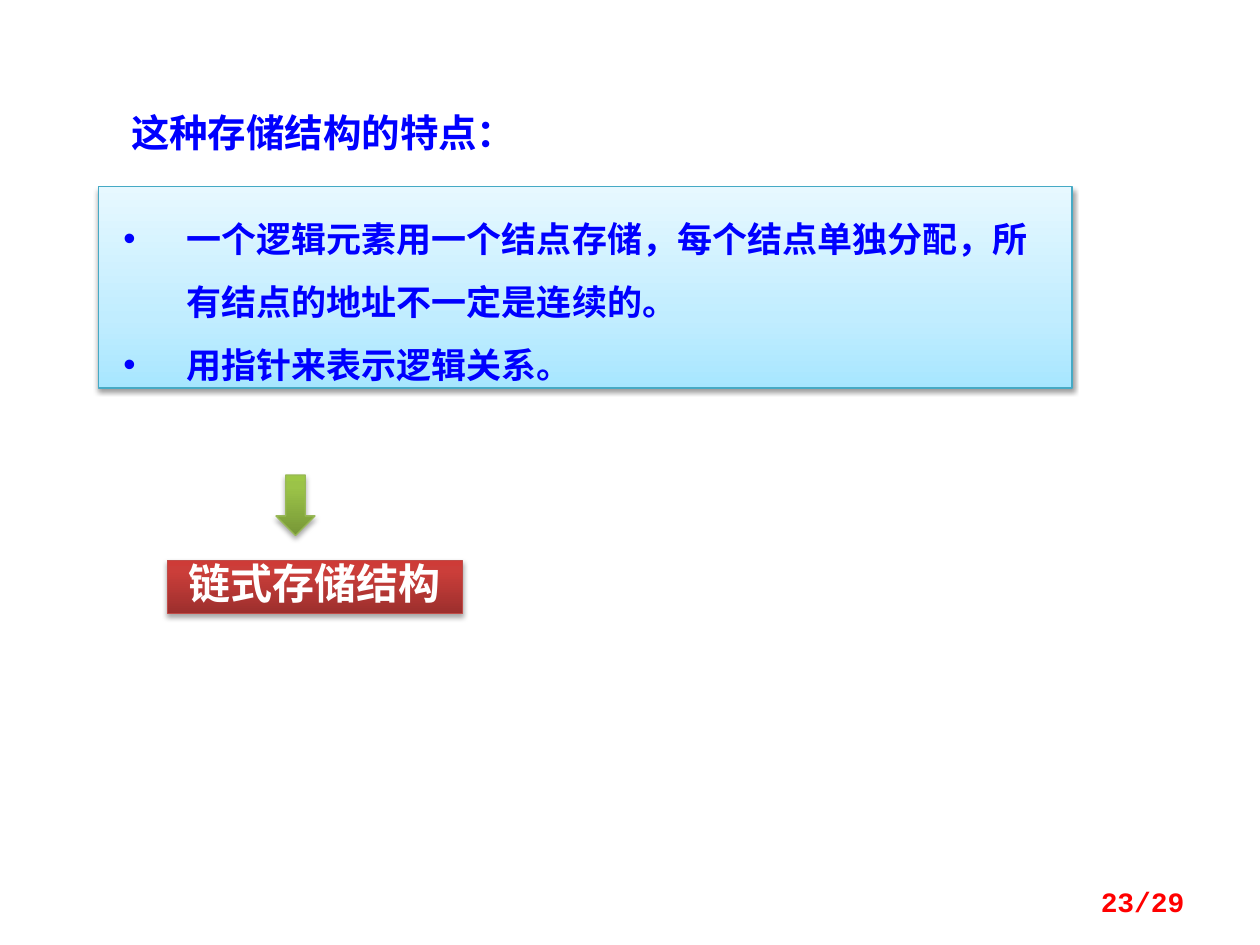
from lxml import etree
from pptx import Presentation
from pptx.dml.color import RGBColor
from pptx.enum.shapes import MSO_SHAPE
from pptx.enum.text import MSO_ANCHOR, MSO_AUTO_SIZE, PP_ALIGN
from pptx.oxml.ns import qn
from pptx.util import Inches, Pt

RECT, DOWN_ARROW = MSO_SHAPE.RECTANGLE, MSO_SHAPE.DOWN_ARROW
LEFT, CENTER, RIGHT = PP_ALIGN.LEFT, PP_ALIGN.CENTER, PP_ALIGN.RIGHT
TOP, MIDDLE = MSO_ANCHOR.TOP, MSO_ANCHOR.MIDDLE
NO_FIT = MSO_AUTO_SIZE.NONE

THEME = {
    "latin": "Times New Roman", "cjk": "Noto Sans CJK SC", "mono": "Courier New",
    "blue": "0000FF", "white": "FFFFFF", "red": "FF0000",
    "heading": 22, "body": 20, "label": 24, "page": 16,
    # gradient stops run from bottom to top
    "sky": {"stops": [(0, "A7E6FF"), (35, "C1EDFF"), (100, "E7F8FF")],
            "line": "46AAC5", "shadow": (38, 1.6)},
    "brick": {"stops": [(0, "9C2F2D"), (80, "CB3E3A"), (100, "CE3B37")],
              "line": "BF4C48", "shadow": (35, 1.8)},
    "leaf": {"stops": [(0, "779737"), (80, "9BC348"), (100, "9DC746")],
             "line": "98B955", "shadow": (35, 1.8)},
}


def add_panel(shapes, kind, box, look):
    """Add a shape with a vertical gradient, thin outline and soft shadow."""
    sp = shapes.add_shape(kind, *map(Inches, box))
    sp.fill.gradient()
    sp.fill.gradient_angle = 90
    stops = sp._element.spPr.find(".//" + qn("a:gsLst"))
    for old in list(stops):
        stops.remove(old)
    for pos, color in look["stops"]:
        gs = etree.SubElement(stops, qn("a:gs"), pos=str(pos * 1000))
        etree.SubElement(gs, qn("a:srgbClr"), val=color)
    sp.line.color.rgb = RGBColor.from_string(look["line"])
    sp.line.width = Pt(0.75)
    sp.shadow.inherit = False
    alpha, dist = look["shadow"]
    effects = sp._element.spPr.find(qn("a:effectLst"))
    shadow = etree.SubElement(effects, qn("a:outerShdw"), blurRad=str(Pt(3.1)),
                              dist=str(Pt(dist)), dir="5400000", rotWithShape="0")
    black = etree.SubElement(shadow, qn("a:srgbClr"), val="000000")
    etree.SubElement(black, qn("a:alpha"), val=str(alpha * 1000))
    return sp


def write(sp, lines, font, size, color, margins, para, anchor=TOP, bullet=False):
    """Fill a shape with bold paragraphs of one style."""
    tf = sp.text_frame
    tf.word_wrap, tf.auto_size, tf.vertical_anchor = True, NO_FIT, anchor
    for side, gap in zip(("left", "top", "right", "bottom"), margins):
        setattr(tf, "margin_" + side, Inches(gap))
    for i, line in enumerate(lines):
        p = tf.add_paragraph() if i else tf.paragraphs[0]
        for name, value in para.items():
            setattr(p, name, value)
        r = p.add_run()
        r.text = line
        r.font.name, r.font.size, r.font.bold = font, Pt(size), True
        r.font.color.rgb = RGBColor.from_string(color)
        etree.SubElement(r._r.get_or_add_rPr(), qn("a:ea"), typeface=THEME["cjk"])
        if bullet:
            pPr = p._p.get_or_add_pPr()
            pPr.set("marL", str(Inches(0.5)))
            pPr.set("indent", str(-Inches(0.5)))
            etree.SubElement(pPr, qn("a:buFont"), typeface="Arial")
            etree.SubElement(pPr, qn("a:buChar"), char="•")


prs = Presentation()
prs.slide_width, prs.slide_height = Inches(10), Inches(7.5)
s = prs.slides.add_slide(prs.slide_layouts[5])

# Heading
title = s.shapes.title
title.left, title.top, title.width, title.height = map(Inches, (0.94, 0.86, 4.22, 0.38))
write(title, ["这种存储结构的特点："], THEME["latin"], THEME["heading"], THEME["blue"],
      (0.1, 0.08, 0.1, 0),
      {"alignment": LEFT, "line_spacing": 0.8, "space_before": Pt(11)})

# Features
features = add_panel(s.shapes, RECT, (0.78, 1.48, 7.73, 1.6), THEME["sky"])
write(features, ["一个逻辑元素用一个结点存储，每个结点单独分配，所有结点的地址不一定是连续的。",
                 "用指针来表示逻辑关系。"],
      THEME["latin"], THEME["body"], THEME["blue"], (0.2, 0.08, 0.24, 0),
      {"alignment": LEFT, "line_spacing": 1.5}, bullet=True)

# Conclusion: label with the arrow leading to it
group = s.shapes.add_group_shape()
label = add_panel(group.shapes, RECT, (1.33, 4.45, 2.34, 0.42), THEME["brick"])
write(label, ["链式存储结构"], THEME["cjk"], THEME["label"], THEME["white"],
      (0.1, 0.05, 0.1, 0.05),
      {"alignment": CENTER, "line_spacing": 0.8, "space_before": Pt(12)})
add_panel(group.shapes, DOWN_ARROW, (2.19, 3.77, 0.31, 0.48), THEME["leaf"])

# Page number
page = s.shapes.add_textbox(*map(Inches, (7.17, 6.95, 2.33, 0.4)))
write(page, ["23/29"], THEME["mono"], THEME["page"], THEME["red"],
      (0.1, 0.05, 0.1, 0.05), {"alignment": RIGHT}, anchor=MIDDLE)

prs.save("out.pptx")
